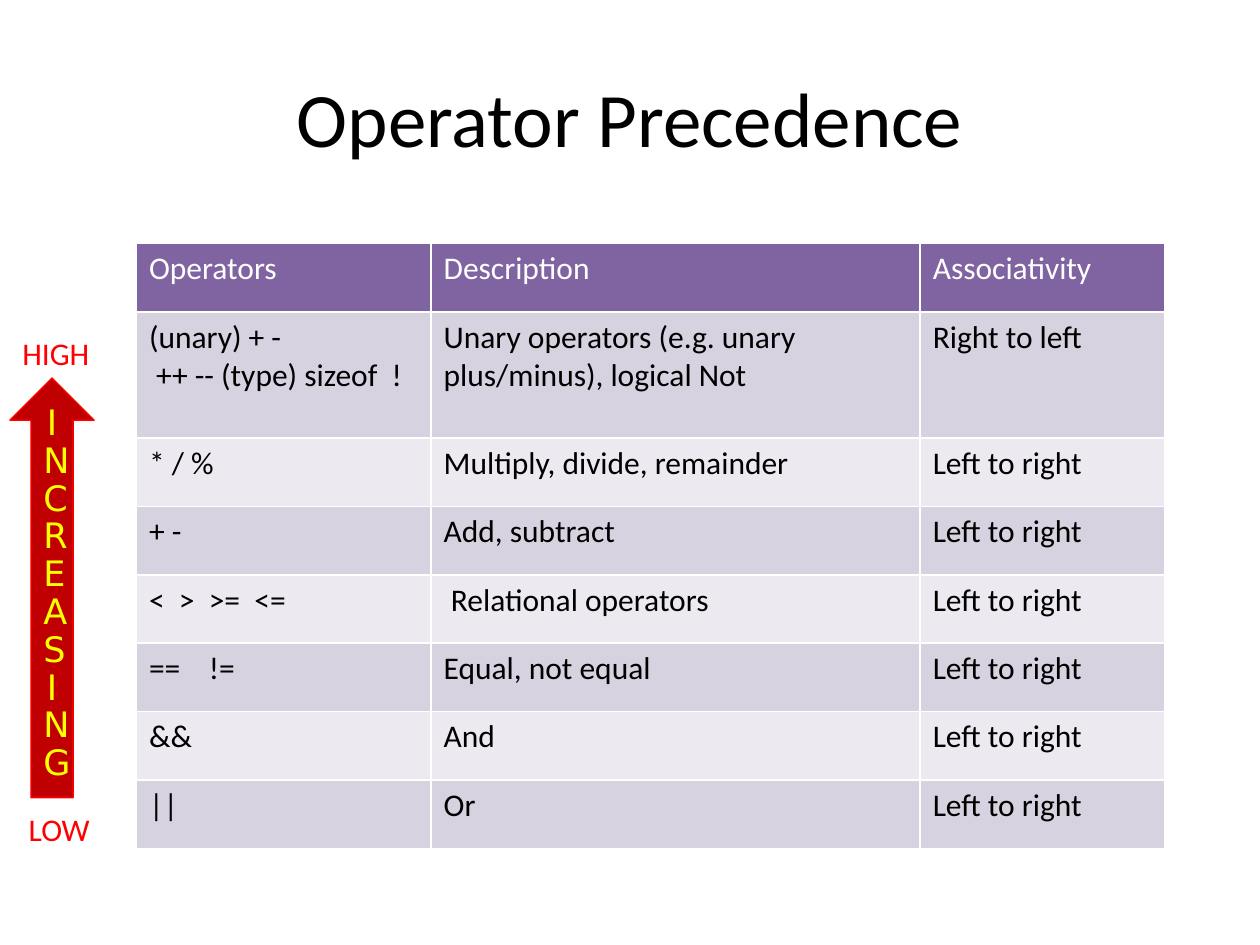
"""Build the operator precedence slide."""
import pptx
import pptx.dml.color
import pptx.enum.shapes
import pptx.enum.text
import pptx.oxml
import pptx.oxml.ns
import pptx.util
from lxml import etree

Cm, Pt = pptx.util.Cm, pptx.util.Pt
RGBColor = pptx.dml.color.RGBColor
ALIGN = pptx.enum.text.PP_ALIGN
ANCHOR = pptx.enum.text.MSO_ANCHOR

BLACK = RGBColor(0x00, 0x00, 0x00)
WHITE = RGBColor(0xFF, 0xFF, 0xFF)
RED = RGBColor(0xFF, 0x00, 0x00)
DARK_RED = RGBColor(0xC0, 0x00, 0x00)
YELLOW = RGBColor(0xFF, 0xFF, 0x00)
PURPLE = RGBColor(0x80, 0x64, 0xA2)
BANDS = (RGBColor(0xEC, 0xEA, 0xF0), RGBColor(0xD7, 0xD2, 0xDF))

TITLE = "Operator Precedence"
HEADER = ("Operators", "Description", "Associativity")
LEFT, RIGHT = "Left to right", "Right to left"
OPERATORS = [
    ("(unary) + -\n ++ -- (type) sizeof  !",
     "Unary operators (e.g. unary plus/minus), logical Not", RIGHT),
    ("* / %", "Multiply, divide, remainder", LEFT),
    ("+ -", "Add, subtract", LEFT),
    ("<  >  >=  <=", "Relational operators", LEFT),
    ("==    !=", "Equal, not equal", LEFT),
    ("&&", "And", LEFT),
    ("||", "Or", LEFT),
]
INDENTED = "Relational operators"
COLUMN_WIDTHS = (5.94, 9.86, 4.93)
ROW_HEIGHT, TALL_ROW_HEIGHT = 1.38, 2.54
SCALE_LABELS = [("HIGH", 0.2, 6.6, 2.13), ("LOW", 0.33, 16.2, 1.96)]


def write(frame, text, size=18, font="Calibri", color=BLACK, align=ALIGN.LEFT, spacing=None):
    """Fill a text frame with formatted paragraphs."""
    frame.word_wrap = True
    frame.text = text
    for para in frame.paragraphs:
        para.alignment = align
        if spacing:
            para.line_spacing = spacing
        for span in para.runs:
            span.font.size = Pt(size)
            span.font.name = font
            span.font.color.rgb = color


def add_label(page, text, left, top, width, height, anchor=ANCHOR.TOP, **style):
    """Add a text box with one formatted text."""
    box = page.shapes.add_textbox(Cm(left), Cm(top), Cm(width), Cm(height))
    box.text_frame.vertical_anchor = anchor
    write(box.text_frame, text, **style)


def add_borders(cell):
    """Give a cell thin white borders."""
    properties = cell._tc.get_or_add_tcPr()
    for side in ("lnL", "lnR", "lnT", "lnB"):
        line = etree.SubElement(properties, pptx.oxml.ns.qn(f"a:{side}"), w=str(Pt(0.96)))
        fill = etree.SubElement(line, pptx.oxml.ns.qn("a:solidFill"))
        etree.SubElement(fill, pptx.oxml.ns.qn("a:srgbClr"), val=str(WHITE))


def add_arrow(page):
    """Add the upward arrow of increasing precedence."""
    arrow = page.shapes.add_shape(
        pptx.enum.shapes.MSO_SHAPE.UP_ARROW, Cm(0.2), Cm(7.62), Cm(1.7), Cm(8.46))
    arrow.shadow.inherit = False
    arrow.fill.solid()
    arrow.fill.fore_color.rgb = DARK_RED
    arrow.line.color.rgb = RED
    arrow.line.width = Pt(0.75)
    arrow.text_frame.vertical_anchor = ANCHOR.TOP
    write(arrow.text_frame, "INCREASING", size=20, font="DejaVu Sans", color=YELLOW,
          align=ALIGN.CENTER, spacing=0.9)


def add_operator_table(page):
    """Add the table of operators in order of precedence."""
    rows = [HEADER] + OPERATORS
    heights = [TALL_ROW_HEIGHT if "\n" in row[0] else ROW_HEIGHT for row in rows]
    table = page.shapes.add_table(
        len(rows), len(HEADER), Cm(2.75), Cm(4.91),
        Cm(sum(COLUMN_WIDTHS)), Cm(sum(heights))).table
    for column, width in zip(table.columns, COLUMN_WIDTHS):
        column.width = Cm(width)
    for index, (row, height) in enumerate(zip(rows, heights)):
        table.rows[index].height = Cm(height)
        for position, text in enumerate(row):
            cell = table.cell(index, position)
            add_borders(cell)
            cell.fill.solid()
            cell.fill.fore_color.rgb = BANDS[index % 2] if index else PURPLE
            if text == INDENTED:
                cell.margin_left = Cm(0.4)
            write(cell.text_frame, text, color=BLACK if index else WHITE)


def main():
    """Assemble and save the deck."""
    deck = pptx.Presentation()
    deck.slide_width, deck.slide_height = Cm(25.4), Cm(19.05)
    page = deck.slides.add_slide(deck.slide_layouts[6])
    add_label(page, TITLE, 1.27, 0.76, 22.86, 3.18, anchor=ANCHOR.MIDDLE,
              size=44, align=ALIGN.CENTER)
    add_arrow(page)
    for text, left, top, width in SCALE_LABELS:
        add_label(page, text, left, top, width, 1.02, color=RED)
    add_operator_table(page)
    deck.save("out.pptx")


if __name__ == "__main__":
    main()
